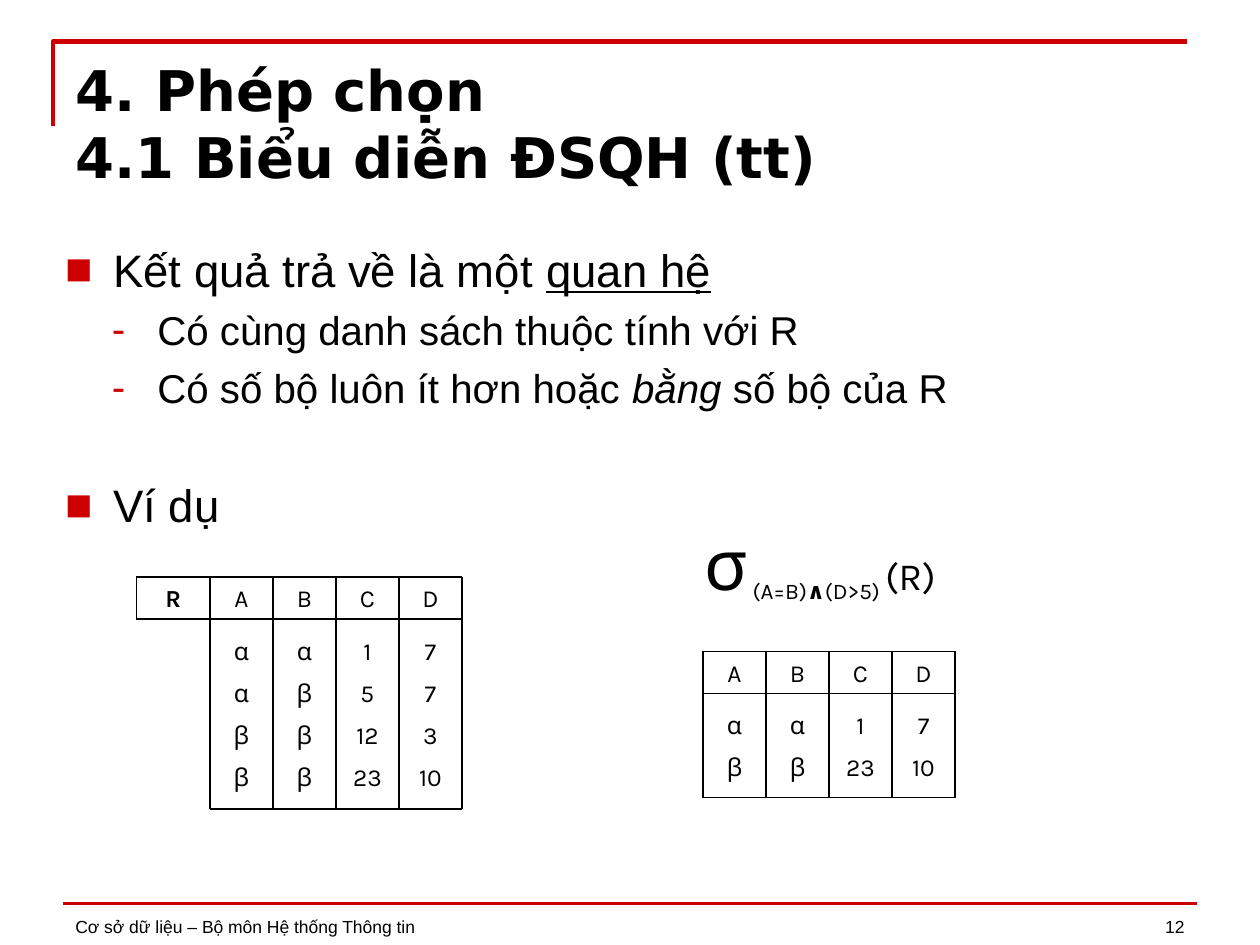
import dataclasses
import typing

import lxml.etree
import pptx
import pptx.dml.color
import pptx.enum.shapes
import pptx.enum.text
import pptx.oxml.ns
import pptx.util

Inches = pptx.util.Inches
Pt = pptx.util.Pt
Align = pptx.enum.text.PP_ALIGN
Anchor = pptx.enum.text.MSO_ANCHOR

COLORS = {"accent": "CC0000", "ink": "000000"}
COLUMN_WIDTH = 0.5
HEADER_HEIGHT = 1 / 3
ROW_HEIGHT = 1 / 3
BODY_PADDING = 1 / 12
NAME_WIDTH = 7 / 12


@dataclasses.dataclass(frozen=True)
class Run:
    text: str
    underline: bool = False
    italic: bool = False
    bold: bool = False
    size: float | None = None
    subscript: bool = False


@dataclasses.dataclass(frozen=True)
class Bullet:
    runs: tuple[Run, ...]
    level: int
    space_before: float


@dataclasses.dataclass(frozen=True)
class Relation:
    left: float
    top: float
    height: float
    rows: tuple[str, ...]
    name: str = ""


BULLETS = (
    Bullet((Run("Kết quả trả về là một "), Run("quan hệ", underline=True)), 0, 0),
    Bullet((Run("Có cùng danh sách thuộc tính với R"),), 1, 5.3),
    Bullet((Run("Có số bộ luôn ít hơn hoặc "), Run("bằng", italic=True), Run(" số bộ của R")), 1, 5.3),
    Bullet((Run("Ví dụ"),), 0, 37.5),
)
BULLET_STYLES = {0: ("■", 26, 0.38, -0.38), 1: ("-", 23, 0.73, -0.36)}
FORMULA = (
    Run("σ", size=40),
    Run(" (A=B)", subscript=True),
    Run("∧", bold=True, subscript=True),
    Run("(D>5) ", subscript=True),
    Run("(R) "),
)
RELATIONS = (
    Relation(5 / 3, 4.58, 1.84, ("α α 1 7", "α β 5 7", "β β 12 3", "β β 23 10"), "R"),
    Relation(5.58, 5.17, 1.16, ("α α 1 7", "β β 23 10")),
)


def rgb(name: str) -> pptx.dml.color.RGBColor:
    return pptx.dml.color.RGBColor.from_string(COLORS[name])


def set_font(font: typing.Any, size: float, family: str, bold: bool = False) -> None:
    font.size = Pt(size)
    font.name = family
    font.bold = bold
    font.color.rgb = rgb("ink")


def add_runs(paragraph: typing.Any, runs: tuple[Run, ...]) -> None:
    for item in runs:
        run = paragraph.add_run()
        run.text = item.text
        if item.underline:
            run.font.underline = True
        if item.italic:
            run.font.italic = True
        if item.bold:
            run.font.bold = True
        if item.size:
            run.font.size = Pt(item.size)
        if item.subscript:
            run._r.get_or_add_rPr().set("baseline", "-25000")


def add_box(shapes: typing.Any, left: float, top: float, width: float, height: float,
            anchor: typing.Any = Anchor.TOP) -> typing.Any:
    box = shapes.add_textbox(Inches(left), Inches(top), Inches(width), Inches(height))
    box.text_frame.word_wrap = True
    box.text_frame.vertical_anchor = anchor
    return box.text_frame


def add_label(shapes: typing.Any, text: str, left: float, top: float, width: float, height: float,
              size: float, family: str, align: typing.Any, anchor: typing.Any = Anchor.TOP,
              bold: bool = False) -> None:
    paragraph = add_box(shapes, left, top, width, height, anchor).paragraphs[0]
    paragraph.text = text
    paragraph.alignment = align
    set_font(paragraph.font, size, family, bold)


def add_line(shapes: typing.Any, x1: float, y1: float, x2: float, y2: float,
             color: str = "ink", width: float = 1) -> None:
    line = shapes.add_connector(pptx.enum.shapes.MSO_CONNECTOR.STRAIGHT,
                                Inches(x1), Inches(y1), Inches(x2), Inches(y2))
    line.line.color.rgb = rgb(color)
    line.line.width = Pt(width)
    lxml.etree.SubElement(line._element.spPr, pptx.oxml.ns.qn("a:effectLst"))


def add_corner_rule(shapes: typing.Any) -> None:
    builder = shapes.build_freeform(Inches(0.42), Inches(1))
    builder.add_line_segments([(Inches(0.42), Inches(0.33)), (Inches(9.42), Inches(0.33))], close=False)
    corner = builder.convert_to_shape()
    corner.fill.background()
    corner.line.color.rgb = rgb("accent")
    corner.line.width = Pt(2.5)
    corner.shadow.inherit = False


def set_bullet(paragraph: typing.Any, character: str, margin: float, indent: float) -> None:
    properties = paragraph._p.get_or_add_pPr()
    properties.set("marL", str(Inches(margin)))
    properties.set("indent", str(Inches(indent)))
    qn = pptx.oxml.ns.qn
    color = lxml.etree.SubElement(properties, qn("a:buClr"))
    lxml.etree.SubElement(color, qn("a:srgbClr"), val=COLORS["accent"])
    lxml.etree.SubElement(properties, qn("a:buFont"), typeface="Arial")
    lxml.etree.SubElement(properties, qn("a:buChar"), char=character)


def add_bullets(shapes: typing.Any) -> None:
    frame = add_box(shapes, 0.42, 1.87, 9.08, 5.13)
    for index, bullet in enumerate(BULLETS):
        paragraph = frame.add_paragraph() if index else frame.paragraphs[0]
        character, size, margin, indent = BULLET_STYLES[bullet.level]
        set_bullet(paragraph, character, margin, indent)
        paragraph.level = bullet.level
        paragraph.alignment = Align.JUSTIFY
        paragraph.space_before = Pt(bullet.space_before)
        set_font(paragraph.font, size, "Arial")
        add_runs(paragraph, bullet.runs)


def add_formula(shapes: typing.Any) -> None:
    paragraph = add_box(shapes, 5.17, 4.08, 2.75, 0.77).paragraphs[0]
    paragraph.alignment = Align.CENTER
    set_font(paragraph.font, 22, "Karla")
    add_runs(paragraph, FORMULA)


def add_relation(slide: typing.Any, relation: Relation) -> None:
    shapes = slide.shapes.add_group_shape().shapes
    left, top = relation.left, relation.top
    header_bottom, bottom = top + HEADER_HEIGHT, top + relation.height
    right = left + 4 * COLUMN_WIDTH
    header_left = left - NAME_WIDTH if relation.name else left
    if relation.name:
        add_label(shapes, relation.name, header_left, top, NAME_WIDTH, HEADER_HEIGHT,
                  14, "Karla", Align.CENTER, bold=True)
        add_line(shapes, header_left, top, header_left, header_bottom)
    for row, values in enumerate(("A B C D", *relation.rows)):
        y = top + row * ROW_HEIGHT + (BODY_PADDING if row else 0)
        for column, value in enumerate(values.split()):
            add_label(shapes, value, left + column * COLUMN_WIDTH, y, COLUMN_WIDTH, ROW_HEIGHT,
                      14, "Karla", Align.CENTER)
    for y in (top, header_bottom):
        add_line(shapes, header_left, y, right, y)
    add_line(shapes, left, bottom, right, bottom)
    for column in range(5):
        x = left + column * COLUMN_WIDTH
        add_line(shapes, x, top, x, bottom)


def main() -> None:
    presentation = pptx.Presentation()
    presentation.slide_width, presentation.slide_height = Inches(10), Inches(7.5)
    slide = presentation.slides.add_slide(presentation.slide_layouts[5])
    title = slide.shapes.title
    title.left, title.top, title.width, title.height = Inches(0.5), Inches(0.39), Inches(9.35), Inches(0.68)
    title.text_frame.text = "4. Phép chọn\v4.1 Biểu diễn ĐSQH (tt)"
    title.text_frame.vertical_anchor = Anchor.TOP
    title.text_frame.auto_size = pptx.enum.text.MSO_AUTO_SIZE.NONE
    paragraph = title.text_frame.paragraphs[0]
    paragraph.alignment = Align.LEFT
    set_font(paragraph.font, 32, "DejaVu Sans", True)
    add_corner_rule(slide.shapes)
    add_line(slide.shapes, 0.5, 7.17, 9.5, 7.17, "accent", 2)
    add_label(slide.shapes, "Cơ sở dữ liệu – Bộ môn Hệ thống Thông tin", 0.5, 6.99, 6.08, 0.5,
              10, "Arial", Align.LEFT, Anchor.BOTTOM)
    add_label(slide.shapes, "12", 7.17, 6.99, 2.33, 0.5, 10, "Arial", Align.RIGHT, Anchor.BOTTOM)
    add_bullets(slide.shapes)
    add_formula(slide.shapes)
    for relation in RELATIONS:
        add_relation(slide, relation)
    presentation.save("out.pptx")


if __name__ == "__main__":
    main()
